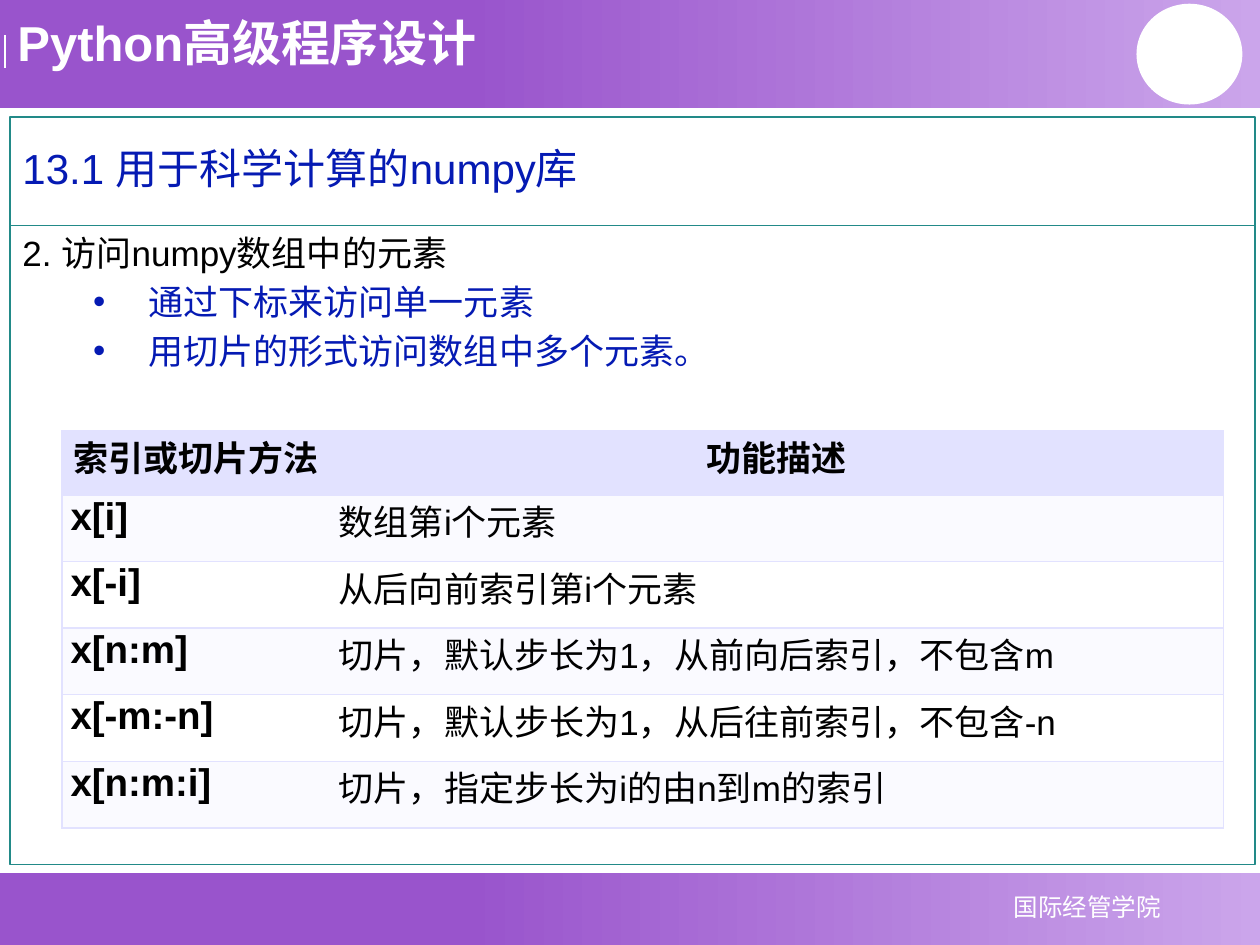
from dataclasses import dataclass

from lxml import etree
from pptx import Presentation
from pptx.dml.color import RGBColor
from pptx.enum.shapes import MSO_CONNECTOR, MSO_SHAPE
from pptx.enum.text import MSO_ANCHOR, PP_ALIGN
from pptx.oxml.ns import qn
from pptx.util import Inches, Pt

RECT, OVAL = MSO_SHAPE.RECTANGLE, MSO_SHAPE.OVAL
STRAIGHT = MSO_CONNECTOR.STRAIGHT
TOP, MIDDLE = MSO_ANCHOR.TOP, MSO_ANCHOR.MIDDLE
LEFT, CENTER, JUSTIFY = PP_ALIGN.LEFT, PP_ALIGN.CENTER, PP_ALIGN.JUSTIFY
COLUMNS, ROWS = 100, 75
CELL = Inches(0.1)


@dataclass(frozen=True)
class Theme:
    font: str = "Arial"
    purple: str = "9954CC"
    lilac: str = "CBA5EB"
    white: str = "FFFFFF"
    black: str = "000000"
    blue: str = "051AB3"
    teal: str = "228A88"
    rule: str = "E2E2FF"
    stripe: str = "FAFAFF"
    course: int = 28
    heading: int = 24
    code: int = 22
    body: int = 20
    footer: int = 14


THEME = Theme()


@dataclass(frozen=True)
class Box:
    x: float
    y: float
    w: float
    h: float

    def inner(self, x, y, w, h):
        return Box(self.x + x, self.y + y, w, h)

    def emu(self):
        return [round(v * CELL) for v in (self.x, self.y, self.w, self.h)]


def rgb(value):
    return RGBColor.from_string(value)


def style(paragraph, size, color, bold=False, align=LEFT):
    paragraph.alignment = align
    for run in paragraph.runs:
        run.font.name = THEME.font
        run.font.size = Pt(size)
        run.font.bold = bold
        run.font.color.rgb = rgb(color)


def add_plain(slide, kind, box, line=None):
    plain = slide.shapes.add_shape(kind, *box.emu())
    plain.shadow.inherit = False
    if line:
        plain.fill.background()
        plain.line.color.rgb = rgb(line)
        plain.line.width = Pt(0.75)
    else:
        plain.line.fill.background()
    return plain


def add_band(slide, box):
    band = add_plain(slide, RECT, box)
    band.fill.gradient()
    band.fill.gradient_angle = 0
    stops = zip(band.fill.gradient_stops, (0.37, 1), (THEME.purple, THEME.lilac))
    for stop, position, color in stops:
        stop.position = position
        stop.color.rgb = rgb(color)


def add_label(slide, box, text, size, bold=False, align=LEFT, anchor=TOP):
    label = slide.shapes.add_textbox(*box.emu()).text_frame
    label.word_wrap = True
    label.vertical_anchor = anchor
    label.text = text
    style(label.paragraphs[0], size, THEME.white, bold, align)


def add_header(slide, box):
    add_band(slide, box)
    x, y, _, height = box.inner(0.4, 2.8, 0, 2.6).emu()
    tick = slide.shapes.add_connector(STRAIGHT, x, y, x, y + height)
    tick.line.color.rgb = rgb(THEME.white)
    tick.line.width = Pt(0.75)
    etree.SubElement(tick._element.spPr, qn("a:effectLst"))
    add_label(slide, box.inner(0.4, 0.5, 41, 5.7), "Python高级程序设计",
              THEME.course, bold=True)
    emblem = add_plain(slide, OVAL, box.inner(90.2, 0.3, 8.4, 8))
    emblem.fill.solid()
    emblem.fill.fore_color.rgb = rgb(THEME.white)


def add_footer(slide, box):
    add_band(slide, box)
    add_label(slide, box.inner(74.7, 1, 23.2, 3.4), "国际经管学院",
              THEME.footer, align=CENTER, anchor=MIDDLE)


def add_heading(slide, box):
    heading = add_plain(slide, RECT, box, THEME.teal).text_frame
    heading.vertical_anchor = MIDDLE
    heading.word_wrap = True
    heading.text = "13.1 用于科学计算的numpy库"
    heading.paragraphs[0].line_spacing = 0.9
    style(heading.paragraphs[0], THEME.heading, THEME.blue)


def add_bullet(paragraph):
    properties = paragraph._p.get_or_add_pPr()
    properties.set("marL", str(Inches(1)))
    properties.set("indent", str(Inches(-0.44)))
    color = etree.SubElement(properties, qn("a:buClr"))
    etree.SubElement(color, qn("a:srgbClr"), val=THEME.blue)
    etree.SubElement(properties, qn("a:buFont"), typeface=THEME.font)
    etree.SubElement(properties, qn("a:buChar"), char="•")


def add_body(slide, box):
    body = add_plain(slide, RECT, box, THEME.teal).text_frame
    body.vertical_anchor = TOP
    body.word_wrap = True
    topic, *points = ("2. 访问numpy数组中的元素", "通过下标来访问单一元素",
                      "用切片的形式访问数组中多个元素。")
    body.text = topic
    style(body.paragraphs[0], THEME.body, THEME.black)
    for point in points:
        paragraph = body.add_paragraph()
        paragraph.text = point
        paragraph.level = 1
        add_bullet(paragraph)
        style(paragraph, THEME.body, THEME.blue)
    for paragraph in body.paragraphs:
        paragraph.space_after = Pt(4)


def set_borders(cell, visible):
    properties = cell._tc.get_or_add_tcPr()
    for index, side in enumerate("LRTB"):
        border = etree.Element(qn(f"a:ln{side}"), w=str(Pt(1)))
        if side in visible:
            fill = etree.SubElement(border, qn("a:solidFill"))
            etree.SubElement(fill, qn("a:srgbClr"), val=THEME.rule)
        else:
            etree.SubElement(border, qn("a:noFill"))
        properties.insert(index, border)


def add_index_table(slide, box):
    entries = (
        ("索引或切片方法", "功能描述"),
        ("x[i]", "数组第i个元素"),
        ("x[-i]", "从后向前索引第i个元素"),
        ("x[n:m]", "切片，默认步长为1，从前向后索引，不包含m"),
        ("x[-m:-n]", "切片，默认步长为1，从后往前索引，不包含-n"),
        ("x[n:m:i]", "切片，指定步长为i的由n到m的索引"),
    )
    table = slide.shapes.add_table(len(entries), 2, *box.emu()).table
    for column, width in zip(table.columns, (21.3, box.w - 21.3)):
        column.width = round(width * CELL)
    for r, entry in enumerate(entries):
        header = r == 0
        table.rows[r].height = round((5.1 if header else 5.28) * CELL)
        shade = THEME.rule if header else THEME.stripe if r % 2 else THEME.white
        for c, text in enumerate(entry):
            cell = table.cell(r, c)
            cell.margin_left = cell.margin_right = Inches(0.07)
            cell.margin_top = cell.margin_bottom = 0
            cell.fill.solid()
            cell.fill.fore_color.rgb = rgb(shade)
            cell.text_frame.text = text
            paragraph = cell.text_frame.paragraphs[0]
            paragraph.space_after = Pt(1.2)
            is_code = c == 0 and not header
            style(paragraph, THEME.code if is_code else THEME.body, THEME.black,
                  header or is_code, CENTER if header else JUSTIFY)
            set_borders(cell, "RTB" if c else "LTB")


def main():
    deck = Presentation()
    deck.slide_width, deck.slide_height = COLUMNS * CELL, ROWS * CELL
    slide = deck.slides.add_slide(deck.slide_layouts[6])
    page = Box(0, 0, COLUMNS, ROWS)
    add_footer(slide, page.inner(0, 69.3, COLUMNS, 5.7))
    add_header(slide, page.inner(0, 0, COLUMNS, 8.6))
    add_heading(slide, page.inner(0.8, 9.3, 98.8, 8.6))
    add_body(slide, page.inner(0.8, 17.9, 98.8, 50.7))
    add_index_table(slide, page.inner(4.9, 34.2, 92.2, 31.5))
    deck.save("out.pptx")


if __name__ == "__main__":
    main()
